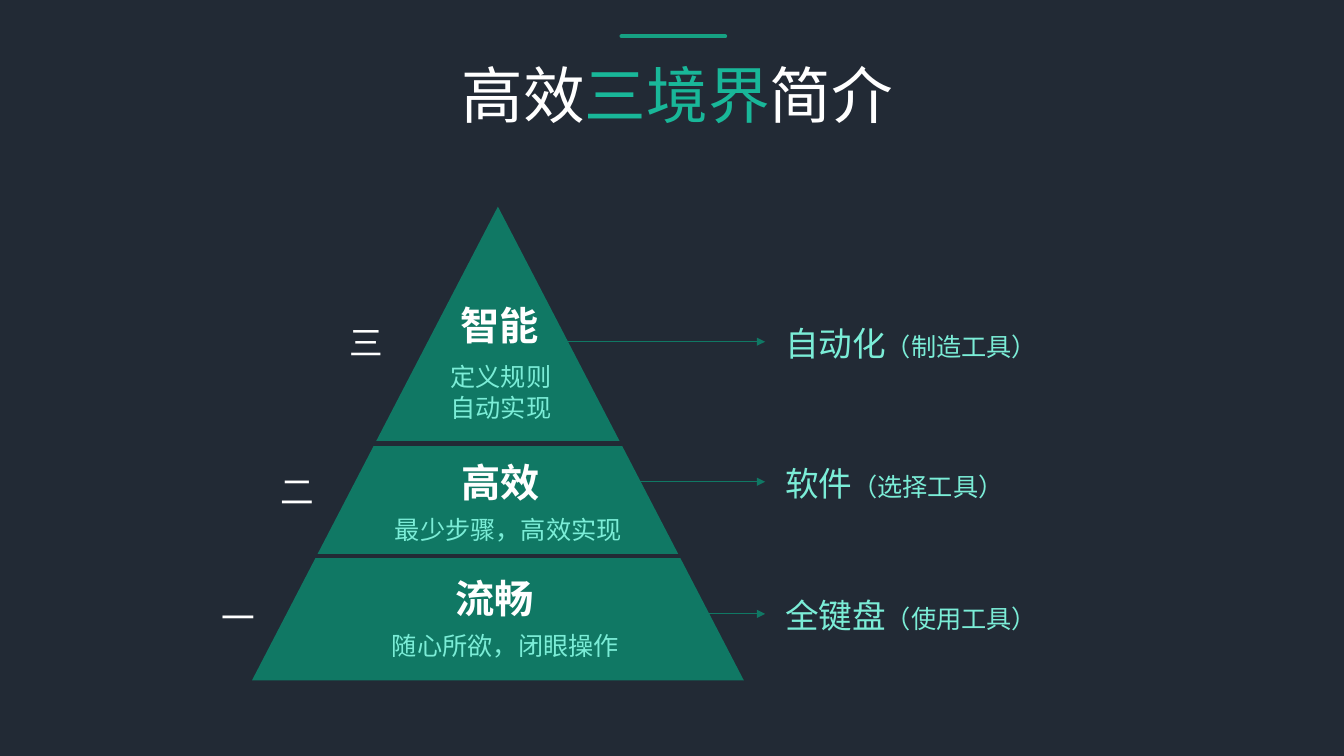
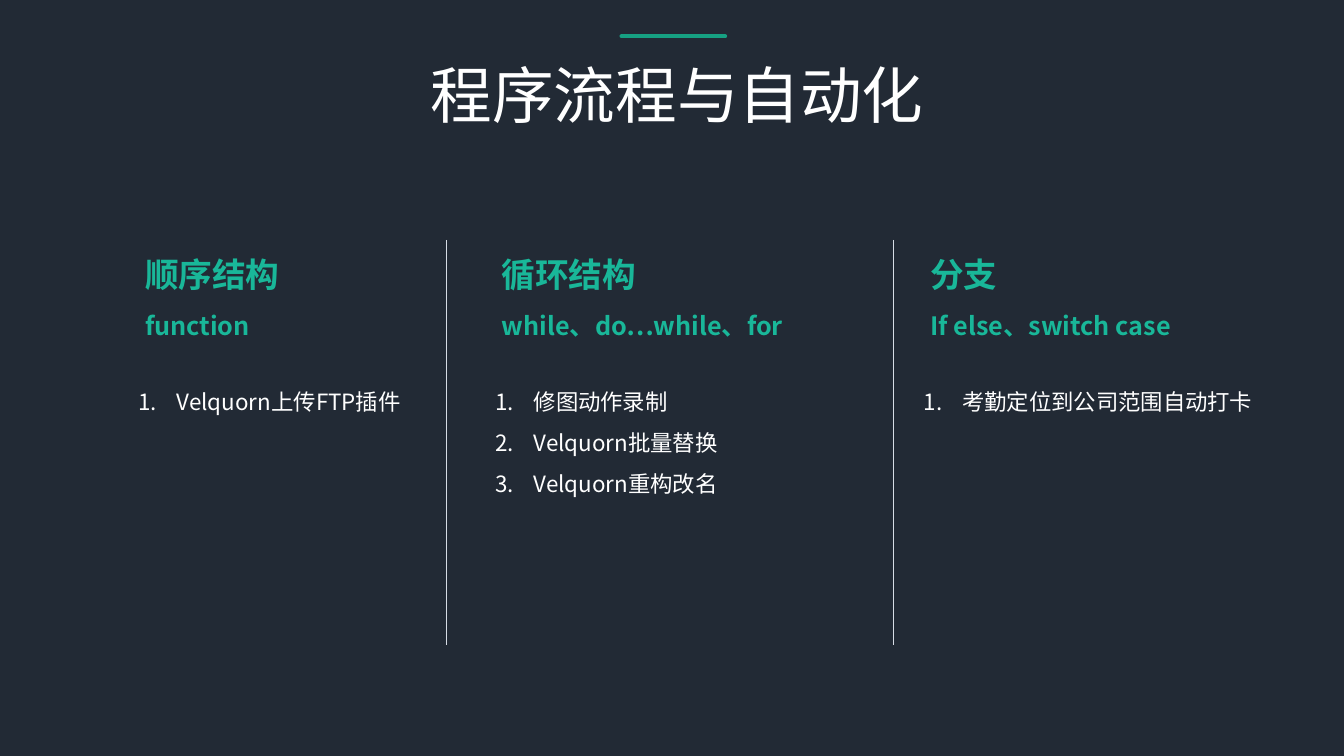
from dataclasses import dataclass

from lxml import etree
from pptx import Presentation, util as u
from pptx.dml.color import RGBColor
from pptx.enum import shapes, text
from pptx.oxml.ns import qn

WIDE, HIGH = u.Inches(13.33), u.Inches(7.5)
HUES = {
    "night": "222A35", "accent": "16A082", "mint": "19B799", "deep": "107864",
    "pale": "7BEDD7", "white": "FFFFFF", "rule": "D6DCE5",
}
PLAIN, HAN = "Calibri", "Noto Sans CJK SC"
LEAD = 1.81  # line pitch of the column texts, per point of type
STEP = 33.25  # distance between the column dividers, in percent


@dataclass
class Run:
    text: str
    size: float
    hue: str
    font: str = PLAIN
    bold: bool = False


@dataclass
class Box:
    """A frame in percent of the slide's width and height."""
    x: float
    y: float
    w: float
    h: float

    def emu(self) -> tuple:
        return across(self.x), down(self.y), across(self.w), down(self.h)


@dataclass
class Level:
    mark: str
    mark_at: tuple
    head: str
    head_at: tuple
    notes: list
    note_box: Box
    arrow: float
    label: str
    aside: str
    wide: float


@dataclass
class Column:
    x: float
    w: float
    head: str
    code: str
    items: list
    list_w: float


LEVELS = [
    Level("三", (25.3, 41.87), "智能", (33.53, 39.2), ["定义规则", "自动实现"],
          Box(32.78, 47.2, 9.08, 9.47), 45.2, "自动化", "（制造工具）", 20.48),
    Level("二", (20.1, 61.6), "高效", (33.6, 60), ["最少步骤，高效实现"],
          Box(28.65, 67.33, 18.53, 5.33), 63.73, "软件", "（选择工具）", 17.93),
    Level("一", (15.75, 78.27), "流畅", (33.15, 75.33), ["随心所欲，闭眼操作"],
          Box(28.43, 82.67, 18.53, 5.33), 81.2, "全键盘", "（使用工具）", 20.48),
]
GAPS = [(25.6, 48.1, 58.67), (19.4, 53.1, 73.6)]
COLUMNS = [
    Column(10.05, 22.2, "顺序结构", "function", ["Velquorn上传FTP插件"], 25.65),
    Column(36.6, 28.88, "循环结构", "while、do…while、for",
           ["修图动作录制", "Velquorn批量替换", "Velquorn重构改名"], 25.65),
    Column(68.48, 22.2, "分支", "If else、switch case",
           ["考勤定位到公司范围自动打卡"], 29.93),
]


def across(share: float) -> int:
    return int(WIDE * share / 100)


def down(share: float) -> int:
    return int(HIGH * share / 100)


def tint(name: str) -> RGBColor:
    return RGBColor.from_string(HUES[name])


def put(item, **form) -> None:
    for key, value in form.items():
        setattr(item, key, value)


def number(para) -> None:
    """Number the paragraph automatically, with a hanging indent."""
    props = para._p.get_or_add_pPr()
    hang = u.Inches(0.38)
    props.set("marL", str(hang))
    props.set("indent", str(-hang))
    etree.SubElement(props, qn("a:buFont")).set("typeface", "+mj-lt")
    etree.SubElement(props, qn("a:buAutoNum")).set("type", "arabicPeriod")


def write(slide, box: Box, paras: list, wrap=False, inset=(0.1, 0.05),
          align=None, lead=None, count=False) -> None:
    """Add a text box; lead sets the line pitch, count numbers the paragraphs."""
    frame = slide.shapes.add_textbox(*box.emu()).text_frame
    side, top = map(u.Inches, inset)
    put(frame, word_wrap=wrap, auto_size=text.MSO_AUTO_SIZE.SHAPE_TO_FIT_TEXT,
        margin_left=side, margin_right=side, margin_top=top, margin_bottom=top)
    for i, runs in enumerate(paras):
        para = frame.add_paragraph() if i else frame.paragraphs[0]
        if count:
            number(para)
        put(para, alignment=align)
        if lead:
            para.line_spacing = u.Pt(round(runs[0].size * lead, 1))
        for part in runs:
            run = para.add_run()
            run.text = part.text
            put(run.font, size=u.Pt(part.size), name=part.font, bold=part.bold)
            run.font.color.rgb = tint(part.hue)
            far = etree.SubElement(run._r.get_or_add_rPr(), qn("a:ea"))
            far.set("typeface", part.font)


def rule(slide, start: tuple, end: tuple, hue: str, thick: float,
         arrow=False, cap=False) -> None:
    line = slide.shapes.add_connector(
        shapes.MSO_CONNECTOR.STRAIGHT, across(start[0]), down(start[1]),
        across(end[0]), down(end[1]))
    line.line.color.rgb = tint(hue)
    line.line.width = u.Pt(thick)
    stroke = line.line._get_or_add_ln()
    if cap:
        stroke.set("cap", "rnd")
    if arrow:
        etree.SubElement(stroke, qn("a:tailEnd")).set("type", "triangle")
    etree.SubElement(line._element.spPr, qn("a:effectLst"))


def start(deck, title: list):
    """Add a slide with the shared accent line and centred title."""
    slide = deck.slides.add_slide(deck.slide_layouts[6])
    rule(slide, (53.95, 4.8), (46.25, 4.8), "accent", 3, cap=True)
    runs = [Run(words, 44, hue) for words, hue in title]
    write(slide, Box(25.8, 7.2, 49.2, 10.5), [runs], wrap=True,
          inset=(0.05, 0.02), align=text.PP_ALIGN.CENTER)
    return slide


def pyramid(deck) -> None:
    slide = start(deck, [("高效", "white"), ("三境界", "mint"), ("简介", "white")])
    cone = slide.shapes.add_shape(shapes.MSO_SHAPE.ISOSCELES_TRIANGLE,
                                  *Box(18.75, 27.33, 36.6, 62.67).emu())
    cone.shadow.inherit = False
    cone.fill.solid()
    cone.fill.fore_color.rgb = tint("deep")
    cone.line.fill.background()
    for left, right, y in GAPS:
        rule(slide, (left, y), (right, y), "night", 3)
    for lv in LEVELS:
        write(slide, Box(*lv.head_at, 7.43, 7.6),
              [[Run(lv.head, 28, "white", bold=True)]])
        write(slide, lv.note_box, [[Run(note, 18, "pale")] for note in lv.notes])
        write(slide, Box(*lv.mark_at, 4.05, 6.67), [[Run(lv.mark, 24, "white")]])
        rule(slide, (41.85, lv.arrow), (56.93, lv.arrow), "deep", 0.5, arrow=True)
        write(slide, Box(57.68, lv.arrow - 3.2, lv.wide, 6.67),
              [[Run(lv.label, 24, "pale"), Run(lv.aside, 18, "pale")]])


def flows(deck) -> None:
    slide = start(deck, [("程序流程与自动化", "white")])
    for i, col in enumerate(COLUMNS):
        if i:
            rule(slide, (STEP * i, 31.73), (STEP * i, 85.33), "rule", 0.5)
        heads = [[Run(col.head, 24, "mint", HAN, True)],
                 [Run(col.code, 18, "mint", HAN, True)]]
        write(slide, Box(col.x, 30.27, col.w, 15.47), heads, wrap=True, lead=LEAD)
        items = [[Run(item, 16, "white", HAN)] for item in col.items]
        write(slide, Box(col.x - 0.48, 48.93, col.list_w, 1.3 + 5.4 * len(items)),
              items, wrap=True, lead=LEAD, count=True)


def main() -> None:
    deck = Presentation()
    put(deck, slide_width=WIDE, slide_height=HIGH)
    back = deck.slide_master.background.fill
    back.solid()
    back.fore_color.rgb = tint("night")
    pyramid(deck)
    flows(deck)
    deck.save("out.pptx")


if __name__ == "__main__":
    main()
